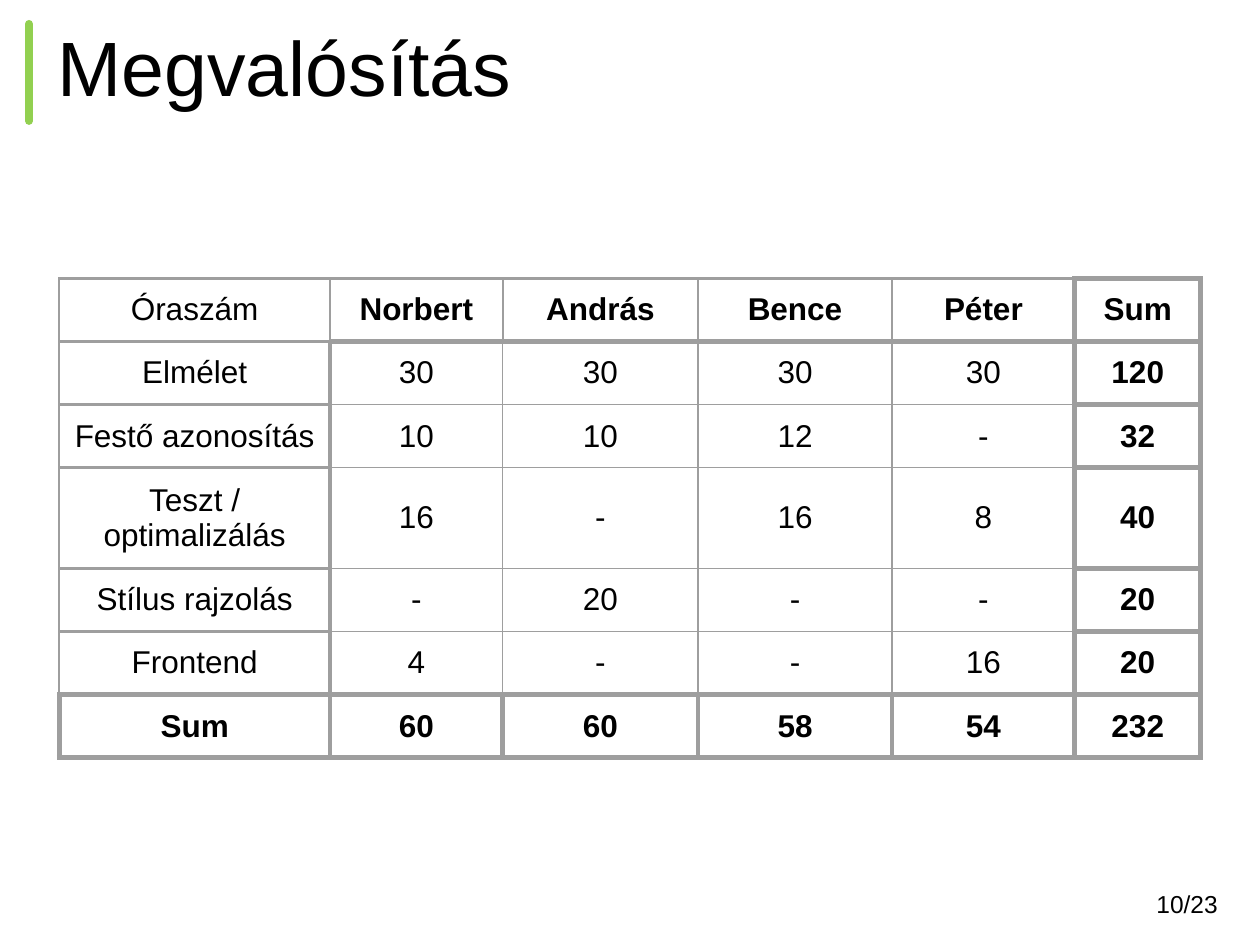
from lxml import etree
from pptx import Presentation, util as u
from pptx.dml.color import RGBColor
from pptx.enum import shapes, text
from pptx.oxml.ns import qn

COLORS = {"text": "000000", "accent": "92D050", "border": "9E9E9E"}
FONT = "Arial"
WIDTH, HEIGHT = 10, 7.5

TITLE = "Megvalósítás"
PAGE = "10/23"
HOURS = [
    ("Óraszám", "Norbert", "András", "Bence", "Péter", "Sum"),
    ("Elmélet", "30", "30", "30", "30", "120"),
    ("Festő azonosítás", "10", "10", "12", "-", "32"),
    ("Teszt / optimalizálás", "16", "-", "16", "8", "40"),
    ("Stílus rajzolás", "-", "20", "-", "-", "20"),
    ("Frontend", "4", "-", "-", "16", "20"),
    ("Sum", "60", "60", "58", "54", "232"),
]
COL_WIDTHS = [2.15, 1.37, 1.55, 1.54, 1.45, 1]
ROW_HEIGHTS = [0.48, 0.48, 0.48, 0.76, 0.48, 0.48, 0.48]
LAST_ROW, LAST_COL = len(HOURS) - 1, len(HOURS[0]) - 1
WEIGHTS = {"sum": 3, "head": 1.5, "body": 0.75}
SIDES = {"a:lnL": (0, -1), "a:lnR": (0, 1), "a:lnT": (-1, 0), "a:lnB": (1, 0)}


def rgb(name):
    return RGBColor.from_string(COLORS[name])


def write(tf, content, size=18, bold=False, align=text.PP_ALIGN.LEFT, spacing=None):
    tf.word_wrap = True
    p = tf.paragraphs[0]
    p.alignment = align
    if spacing:
        p.line_spacing = spacing
    r = p.add_run()
    r.text = content
    r.font.name, r.font.size, r.font.bold = FONT, u.Pt(size), bold
    r.font.color.rgb = rgb("text")


def add_text(s, box, content, inset_y, **fmt):
    tf = s.shapes.add_textbox(*map(u.Inches, box)).text_frame
    tf.margin_left = tf.margin_right = u.Inches(0.1)
    tf.margin_top = tf.margin_bottom = u.Inches(inset_y)
    tf.vertical_anchor = text.MSO_ANCHOR.MIDDLE
    write(tf, content, **fmt)


def add_accent(s, x, top, bottom):
    line = s.shapes.add_connector(
        shapes.MSO_CONNECTOR.STRAIGHT, *map(u.Inches, (x, top, x, bottom)))
    line.line.color.rgb = rgb("accent")
    line.line.width = u.Pt(4.5)
    line.line._get_or_add_ln().set("cap", "rnd")
    etree.SubElement(line._element.spPr, qn("a:effectLst"))


def zone(row, col):
    if row == LAST_ROW or col == LAST_COL:
        return "sum"
    return "head" if row == 0 or col == 0 else "body"


def edge_weight(row, col, d_row, d_col):
    """An edge between two zones is heavy; any other has its zone's weight."""
    own = zone(row, col)
    r, c = row + d_row, col + d_col
    inside = 0 <= r <= LAST_ROW and 0 <= c <= LAST_COL
    return WEIGHTS["sum" if inside and zone(r, c) != own else own]


def set_borders(cell, row, col):
    tc_pr = cell._tc.get_or_add_tcPr()
    for tag, step in SIDES.items():
        ln = etree.SubElement(
            tc_pr, qn(tag), w=str(u.Pt(edge_weight(row, col, *step))))
        fill = etree.SubElement(ln, qn("a:solidFill"))
        etree.SubElement(fill, qn("a:srgbClr"), val=COLORS["border"])


def add_hours(s, left, top):
    box = (left, top, sum(COL_WIDTHS), sum(ROW_HEIGHTS))
    table = s.shapes.add_table(
        len(HOURS), len(COL_WIDTHS), *map(u.Inches, box)).table
    table.first_row = table.horz_banding = False
    for column, width in zip(table.columns, COL_WIDTHS):
        column.width = u.Inches(width)
    for i, (row, height) in enumerate(zip(HOURS, ROW_HEIGHTS)):
        table.rows[i].height = u.Inches(height)
        for j, content in enumerate(row):
            cell = table.cell(i, j)
            cell.margin_left = cell.margin_right = u.Inches(0.1)
            cell.margin_top = cell.margin_bottom = u.Inches(0.1)
            cell.vertical_anchor = text.MSO_ANCHOR.MIDDLE
            bold = zone(i, j) == "sum" or (i == 0 and j > 0)
            write(cell.text_frame, content, bold=bold, align=text.PP_ALIGN.CENTER)
            set_borders(cell, i, j)
            cell.fill.background()


def main():
    prs = Presentation()
    prs.slide_width, prs.slide_height = u.Inches(WIDTH), u.Inches(HEIGHT)
    s = prs.slides.add_slide(prs.slide_layouts[6])
    add_accent(s, 0.23, 0.19, 0.96)
    add_text(s, (0.36, 0.19, 9.48, 0.76), TITLE, 0.1, size=44, spacing=0.9)
    add_text(s, (9.08, 6.97, 0.76, 0.4), PAGE, 0.05, size=14)
    add_hours(s, 0.47, 2.21)
    prs.save("out.pptx")


if __name__ == "__main__":
    main()
